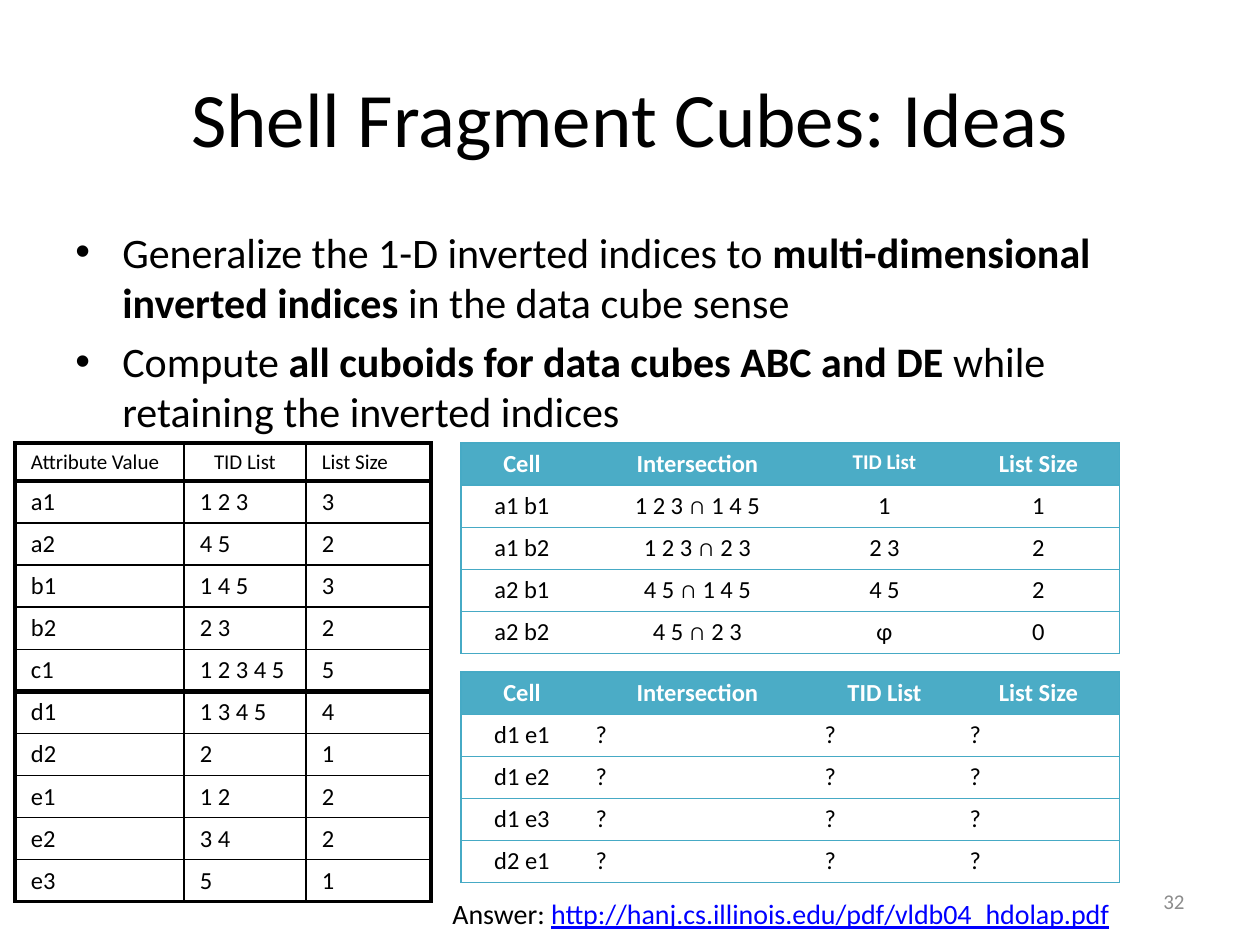
from lxml import etree
from pptx import Presentation, util as u
from pptx.dml.color import RGBColor
from pptx.enum import text
from pptx.oxml.ns import qn

BLACK = RGBColor(0x00, 0x00, 0x00)
WHITE = RGBColor(0xFF, 0xFF, 0xFF)
GRAY = RGBColor(0x8C, 0x8C, 0x8C)
BLUE = RGBColor(0x00, 0x00, 0xFF)
TEAL = RGBColor(0x4B, 0xAC, 0xC6)
TEAL_LINE = RGBColor(0x46, 0xAA, 0xC5)
FONT = "Calibri"
PX_PER_INCH = 126
LEFT = text.PP_ALIGN.LEFT
CENTER = text.PP_ALIGN.CENTER
RIGHT = text.PP_ALIGN.RIGHT

INVERTED_INDEX = [
    ["Attribute Value", "TID List", "List Size"],
    ["a1", "1 2 3", "3"],
    ["a2", "4 5", "2"],
    ["b1", "1 4 5", "3"],
    ["b2", "2 3", "2"],
    ["c1", "1 2 3 4 5", "5"],
    ["d1", "1 3 4 5", "4"],
    ["d2", "2", "1"],
    ["e1", "1 2", "2"],
    ["e2", "3 4", "2"],
    ["e3", "5", "1"],
]
HEAVY_RULES = (1, 6)
CUBOID_HEADER = ["Cell", "Intersection", "TID List", "List Size"]
AB_CELLS = [
    ["a1 b1", "1 2 3 ∩ 1 4 5", "1", "1"],
    ["a1 b2", "1 2 3 ∩ 2 3", "2 3", "2"],
    ["a2 b1", "4 5 ∩ 1 4 5", "4 5", "2"],
    ["a2 b2", "4 5 ∩ 2 3", "φ", "0"],
]
DE_CELLS = [[cell, "?", "?", "?"] for cell in ("d1 e1", "d1 e2", "d1 e3", "d2 e1")]


def px(length):
    return u.Emu(round(length * 914400 / PX_PER_INCH))


def add_run(paragraph, words, size, color=BLACK, bold=False, underline=False):
    run = paragraph.add_run()
    run.text = words
    font = run.font
    font.name = FONT
    font.size = u.Pt(size)
    font.color.rgb = color
    font.bold = bold
    font.underline = underline


def add_title(slide, words):
    title = slide.shapes.title
    title.left, title.top, title.width, title.height = map(px, (63, 38, 1134, 158))
    title.text_frame.vertical_anchor = text.MSO_ANCHOR.MIDDLE
    paragraph = title.text_frame.paragraphs[0]
    paragraph.alignment = CENTER
    add_run(paragraph, words, 44)


def add_text_box(slide, box, anchor=text.MSO_ANCHOR.TOP):
    frame = slide.shapes.add_textbox(*map(px, box)).text_frame
    frame.word_wrap = True
    frame.vertical_anchor = anchor
    return frame


def add_bullets(slide, box, items):
    frame = add_text_box(slide, box)
    for index, pieces in enumerate(items):
        paragraph = frame.add_paragraph() if index else frame.paragraphs[0]
        properties = paragraph._p.get_or_add_pPr()
        properties.set("marL", str(px(47)))
        properties.set("indent", str(-px(47)))
        etree.SubElement(properties, qn("a:buFont"), typeface="Arial")
        etree.SubElement(properties, qn("a:buChar"), char="•")
        if index:
            paragraph.space_before = u.Pt(4.8)
        for words, bold in pieces:
            add_run(paragraph, words, 24, bold=bold)


def set_borders(cell, color, left, right, top, bottom):
    properties = cell._tc.get_or_add_tcPr()
    for side, width in zip("LRTB", (left, right, top, bottom)):
        line = etree.SubElement(properties, qn(f"a:ln{side}"), w=str(u.Pt(width)))
        if width:
            fill = etree.SubElement(line, qn("a:solidFill"))
            etree.SubElement(fill, qn("a:srgbClr"), val=str(color))
        else:
            etree.SubElement(line, qn("a:noFill"))


def add_table(slide, left, top, columns, heights, line_color, vertical, horizontal):
    frame = slide.shapes.add_table(len(heights), len(columns), px(left), px(top),
                                   px(sum(columns)), px(sum(heights)))
    table = frame.table
    table.first_row = table.horz_banding = False
    for column, width in zip(table.columns, columns):
        column.width = px(width)
    for row, height in zip(table.rows, heights):
        row.height = px(height)
    for r in range(len(heights)):
        for c in range(len(columns)):
            cell = table.cell(r, c)
            set_borders(cell, line_color, *vertical[c:c + 2], *horizontal[r:r + 2])
            cell.fill.background()
    return table


def fill_cell(cell, words, size, alignment, color=BLACK, bold=False):
    paragraph = cell.text_frame.paragraphs[0]
    paragraph.alignment = alignment
    add_run(paragraph, words, size, color, bold)


def add_inverted_index(slide):
    count = len(INVERTED_INDEX)
    horizontal = [2.25] + [3 if r in HEAVY_RULES else 1 for r in range(1, count)] + [2.25]
    table = add_table(slide, 15, 443, [169, 122, 125], [38] + [42] * (count - 1),
                      BLACK, [2.25, 1, 1, 2.25], horizontal)
    for r, row in enumerate(INVERTED_INDEX):
        for c, words in enumerate(row):
            cell = table.cell(r, c)
            cell.margin_left = cell.margin_right = px(16)
            fill_cell(cell, words, 14 if r else 12, CENTER if (r, c) == (0, 1) else LEFT)


def add_cuboid(slide, top, rows, value_alignment, tid_header_size):
    count = len(rows) + 1
    table = add_table(slide, 461, top, [122, 229, 145, 163], [42] * count,
                      TEAL_LINE, [0.75, 0, 0, 0, 0.75], [0.75] * (count + 1))
    for c, words in enumerate(CUBOID_HEADER):
        cell = table.cell(0, c)
        cell.fill.solid()
        cell.fill.fore_color.rgb = TEAL
        size = tid_header_size if words == "TID List" else 14
        fill_cell(cell, words, size, CENTER, WHITE, True)
    for r, row in enumerate(rows, 1):
        for c, words in enumerate(row):
            fill_cell(table.cell(r, c), words, 14, value_alignment if c else CENTER)


def main():
    presentation = Presentation()
    presentation.slide_width, presentation.slide_height = px(1260), px(945)
    slide = presentation.slides.add_slide(presentation.slide_layouts[5])

    add_title(slide, "Shell Fragment Cubes: Ideas")
    add_bullets(slide, (63, 220, 1134, 624), [
        [("Generalize the 1-D inverted indices to ", False),
         ("multi-dimensional inverted indices ", True),
         ("in the data cube sense", False)],
        [("Compute ", False),
         ("all cuboids for data cubes ABC and DE ", True),
         ("while retaining the inverted indices", False)],
    ])

    number = add_text_box(slide, (903, 876, 294, 50), text.MSO_ANCHOR.MIDDLE).paragraphs[0]
    number.alignment = RIGHT
    add_run(number, "32", 12, GRAY)

    add_inverted_index(slide)
    add_cuboid(slide, 443, AB_CELLS, CENTER, 12)
    add_cuboid(slide, 672, DE_CELLS, LEFT, 14)

    answer = add_text_box(slide, (440, 890, 713, 80)).paragraphs[0]
    add_run(answer, "Answer: ", 16)
    add_run(answer, "http://hanj.cs.illinois.edu/pdf/vldb04_hdolap.pdf", 16, BLUE, underline=True)

    presentation.save("out.pptx")


if __name__ == "__main__":
    main()
